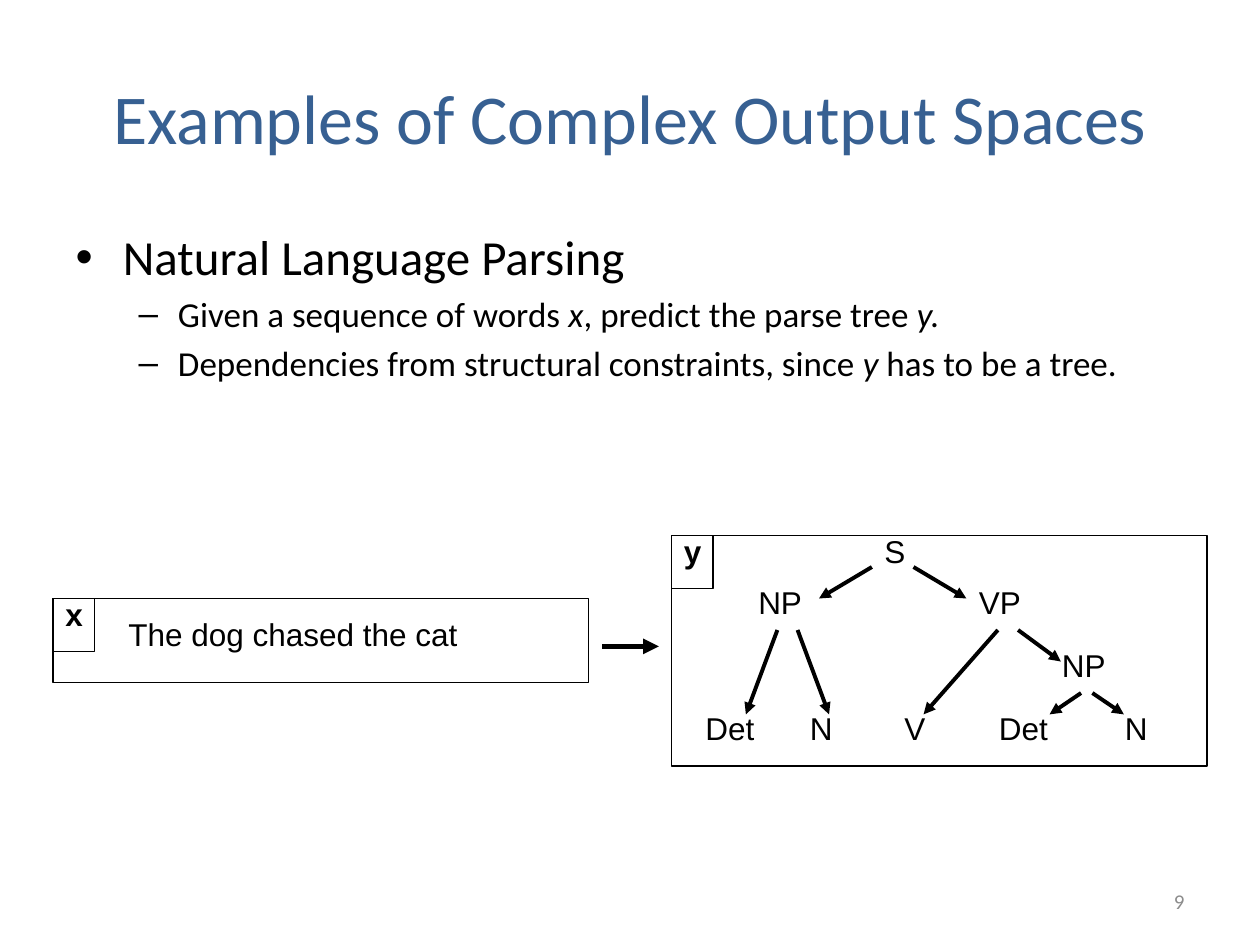
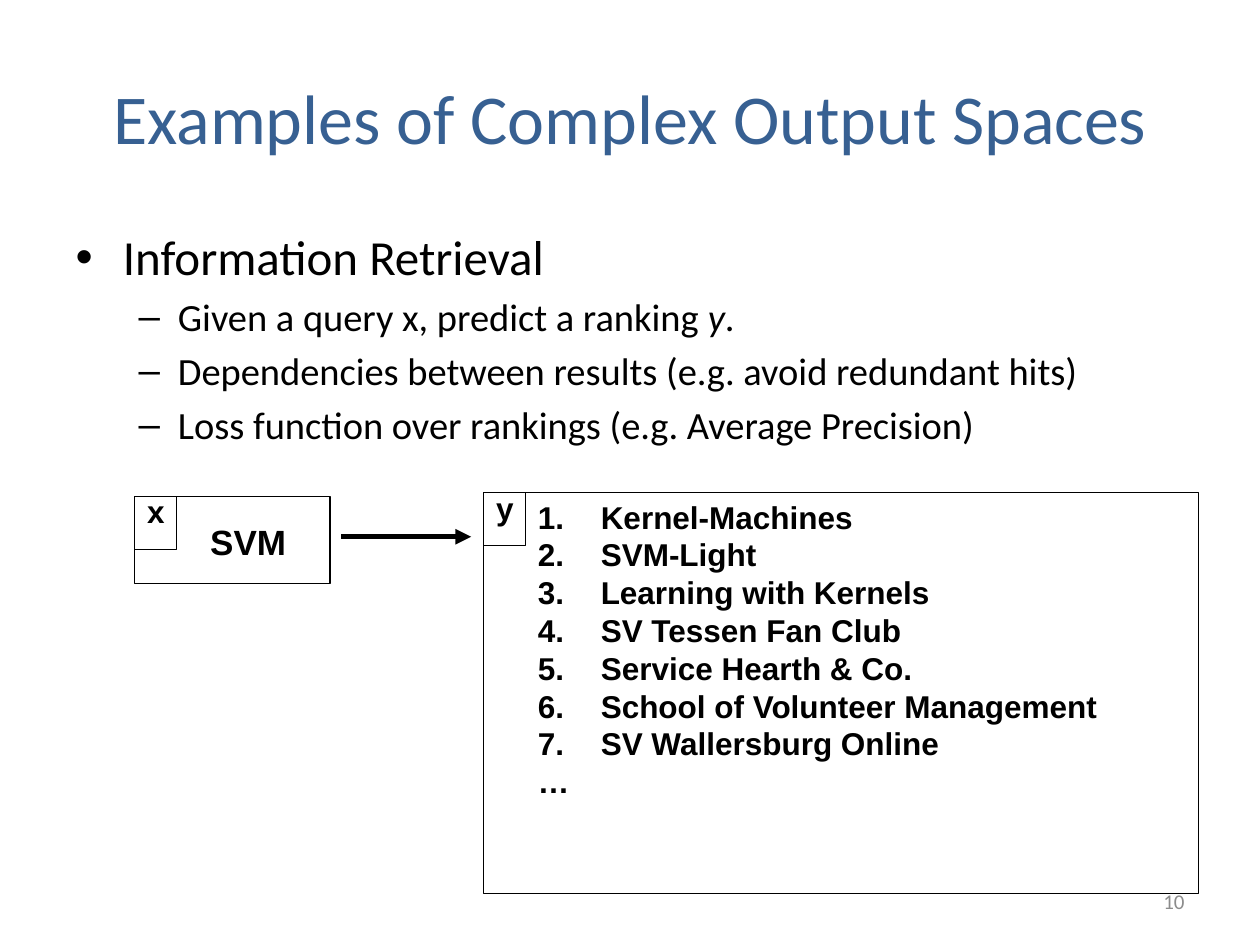
from dataclasses import dataclass

from lxml.etree import SubElement
from pptx import Presentation
from pptx.dml.color import RGBColor
from pptx.enum.shapes import MSO_CONNECTOR, MSO_SHAPE
from pptx.enum.text import MSO_ANCHOR, MSO_AUTO_SIZE, PP_ALIGN
from pptx.oxml.ns import qn
from pptx.util import Inches, Pt


@dataclass(frozen=True)
class Theme:
    """Colours, fonts and type sizes shared by the slides."""

    title_color: RGBColor = RGBColor(0x37, 0x60, 0x92)
    ink: RGBColor = RGBColor(0, 0, 0)
    paper: RGBColor = RGBColor(255, 255, 255)
    muted: RGBColor = RGBColor(0x8C, 0x8C, 0x8C)
    text_font: str = "Calibri"
    diagram_font: str = "Arial"
    title_size: int = 40
    topic_size: int = 28
    diagram_size: int = 18
    query_size: int = 20
    number_size: int = 12
    frame_width: float = 0.75
    branch_width: float = 2.25
    mapping_width: float = 3


THEME = Theme()
TITLE = "Examples of Complex Output Spaces"
TAG_WIDTH, TAG_HEIGHT = 0.33, 0.42

TREE_NODES = [
    ("S", 6.92, 4.17), ("NP", 5.92, 4.58), ("VP", 7.67, 4.58),
    ("NP", 8.33, 5.08), ("Det", 5.5, 5.58), ("N", 6.33, 5.58),
    ("V", 7.08, 5.58), ("Det", 7.83, 5.58), ("N", 8.83, 5.58),
]
TREE_BRANCHES = [
    ((6.92, 4.5), (6.5, 4.75)), ((7.25, 4.5), (7.67, 4.75)),
    ((6.17, 5), (5.92, 5.67)), ((6.33, 5), (6.58, 5.67)),
    ((7.92, 5), (7.33, 5.67)), ((8.08, 5), (8.42, 5.25)),
    ((8.58, 5.5), (8.33, 5.67)), ((8.67, 5.5), (8.92, 5.67)),
]
RANKING = [
    "Kernel-Machines", "SVM-Light", "Learning with Kernels",
    "SV Tessen Fan Club", "Service Hearth & Co.",
    "School of Volunteer Management", "SV Wallersburg Online",
]


def add_span(para, text, size, font=THEME.text_font, color=THEME.ink,
             bold=False, italic=False):
    """Append one formatted run to a paragraph."""
    span = para.add_run()
    span.text = text
    span.font.size = Pt(size)
    span.font.name = font
    span.font.color.rgb = color
    span.font.bold = bold
    span.font.italic = italic


def place(shape, left, top, width, height):
    """Move and size a shape, in inches."""
    shape.left, shape.top = Inches(left), Inches(top)
    shape.width, shape.height = Inches(width), Inches(height)


def add_page(deck, topic, points, point_size, number):
    """Add a slide with the shared title, a bulleted topic and a page number."""
    page = deck.slides.add_slide(deck.slide_layouts[1])
    title, body = page.shapes.title, page.placeholders[1]
    place(title, 0.5, 0.3, 9, 1.25)
    title.text_frame.vertical_anchor = MSO_ANCHOR.MIDDLE
    para = title.text_frame.paragraphs[0]
    para.alignment = PP_ALIGN.CENTER
    add_span(para, TITLE, THEME.title_size, color=THEME.title_color)

    place(body, 0.5, 1.75, 9, 4.95)
    para = body.text_frame.paragraphs[0]
    para.space_before = Pt(0)
    add_span(para, topic, THEME.topic_size)
    for point in points:
        para = body.text_frame.add_paragraph()
        para.level = 1
        for text, italic in point:
            add_span(para, text, point_size, italic=italic)

    box = page.shapes.add_textbox(Inches(7.17), Inches(6.95), Inches(2.33), Inches(0.4))
    box.text_frame.word_wrap = True
    box.text_frame.vertical_anchor = MSO_ANCHOR.MIDDLE
    para = box.text_frame.paragraphs[0]
    para.alignment = PP_ALIGN.RIGHT
    add_span(para, str(number), THEME.number_size, color=THEME.muted)
    return page


def add_label(page, text, left, top, width, height=0.5,
              size=THEME.diagram_size, bold=False):
    """Add a one-line diagram label."""
    box = page.shapes.add_textbox(Inches(left), Inches(top), Inches(width), Inches(height))
    box.text_frame.word_wrap = False
    box.text_frame.auto_size = MSO_AUTO_SIZE.SHAPE_TO_FIT_TEXT
    add_span(box.text_frame.paragraphs[0], text, size, THEME.diagram_font, bold=bold)


def add_rectangle(page, left, top, width, height):
    """Add an unfilled rectangle with a thin outline."""
    shape = page.shapes.add_shape(MSO_SHAPE.RECTANGLE, Inches(left), Inches(top),
                                  Inches(width), Inches(height))
    shape.shadow.inherit = False
    shape.fill.background()
    shape.line.color.rgb = THEME.ink
    shape.line.width = Pt(THEME.frame_width)
    return shape


def add_variable_frame(page, variable, left, top, width, height):
    """Add a translucent frame tagged with a variable name in its corner."""
    frame = add_rectangle(page, left, top, width, height)
    frame.fill.solid()
    frame.fill.fore_color.rgb = THEME.paper
    color = frame.fill._xPr.find(qn("a:solidFill"))[0]
    SubElement(color, qn("a:alpha"), val="50000")
    add_label(page, variable, left, top - 0.08, 0.37, bold=True)
    add_rectangle(page, left, top, TAG_WIDTH, TAG_HEIGHT)


def add_arrow(page, start, end, width):
    """Add a straight arrow between two points."""
    arrow = page.shapes.add_connector(MSO_CONNECTOR.STRAIGHT,
                                      *map(Inches, (*start, *end)))
    arrow.line.color.rgb = THEME.ink
    arrow.line.width = Pt(width)
    SubElement(arrow.line._get_or_add_ln(), qn("a:tailEnd"), type="triangle")
    SubElement(arrow._element.spPr, qn("a:effectLst"))


def add_ranking(page, entries, left, top, width, height):
    """Add a numbered list that ends with an ellipsis."""
    box = page.shapes.add_textbox(Inches(left), Inches(top), Inches(width), Inches(height))
    frame = box.text_frame
    frame.word_wrap = True
    for index, entry in enumerate([*entries, "…"]):
        para = frame.add_paragraph() if index else frame.paragraphs[0]
        properties = para._p.get_or_add_pPr()
        properties.set("marL", str(Inches(0.5)))
        properties.set("indent", str(-Inches(0.5)))
        if index < len(entries):
            SubElement(properties, qn("a:buFont"), typeface=THEME.diagram_font)
            SubElement(properties, qn("a:buAutoNum"), type="arabicPeriod")
        add_span(para, entry, THEME.diagram_size, THEME.diagram_font, bold=True)


def build_parsing_page(deck):
    """Show a sentence mapped to its parse tree."""
    points = [
        [("Given a sequence of words ", False), ("x", True),
         (", predict the parse tree ", False), ("y.", True)],
        [("Dependencies from structural constraints, since ", False), ("y", True),
         (" has to be a tree.", False)],
    ]
    page = add_page(deck, "Natural Language Parsing", points, 20, 9)
    add_variable_frame(page, "x", 0.42, 4.75, 4.25, 0.67)
    add_label(page, "The dog chased the cat", 0.92, 4.83, 3.25)
    add_variable_frame(page, "y", 5.33, 4.25, 4.25, 1.83)
    node_widths = {"S": 0.39, "NP": 0.63, "VP": 0.63, "Det": 0.59, "N": 0.44, "V": 0.44}
    for name, left, top in TREE_NODES:
        add_label(page, name, left, top, node_widths[name])
    for start, end in TREE_BRANCHES:
        add_arrow(page, start, end, THEME.branch_width)
    add_arrow(page, (4.78, 5.13), (5.23, 5.13), THEME.mapping_width)


def build_retrieval_page(deck):
    """Show a query mapped to a ranking of results."""
    points = [
        [("Given a query x, predict a ranking ", False), ("y", True), (".", False)],
        [("Dependencies between results (e.g. avoid redundant hits)", False)],
        [("Loss function over rankings (e.g. Average Precision)", False)],
    ]
    page = add_page(deck, "Information Retrieval", points, 22, 10)
    add_variable_frame(page, "x", 1.07, 3.94, 1.55, 0.69)
    add_label(page, "SVM", 1.57, 4.08, 0.8, 0.43, THEME.query_size, bold=True)
    add_variable_frame(page, "y", 3.84, 3.91, 5.67, 3.18)
    add_ranking(page, RANKING, 4.17, 3.9, 5.23, 3.3)
    add_arrow(page, (2.71, 4.26), (3.74, 4.26), THEME.mapping_width)


def main():
    """Build and save the deck."""
    deck = Presentation()
    deck.slide_width, deck.slide_height = Inches(10), Inches(7.5)
    build_parsing_page(deck)
    build_retrieval_page(deck)
    deck.save("out.pptx")


if __name__ == "__main__":
    main()
